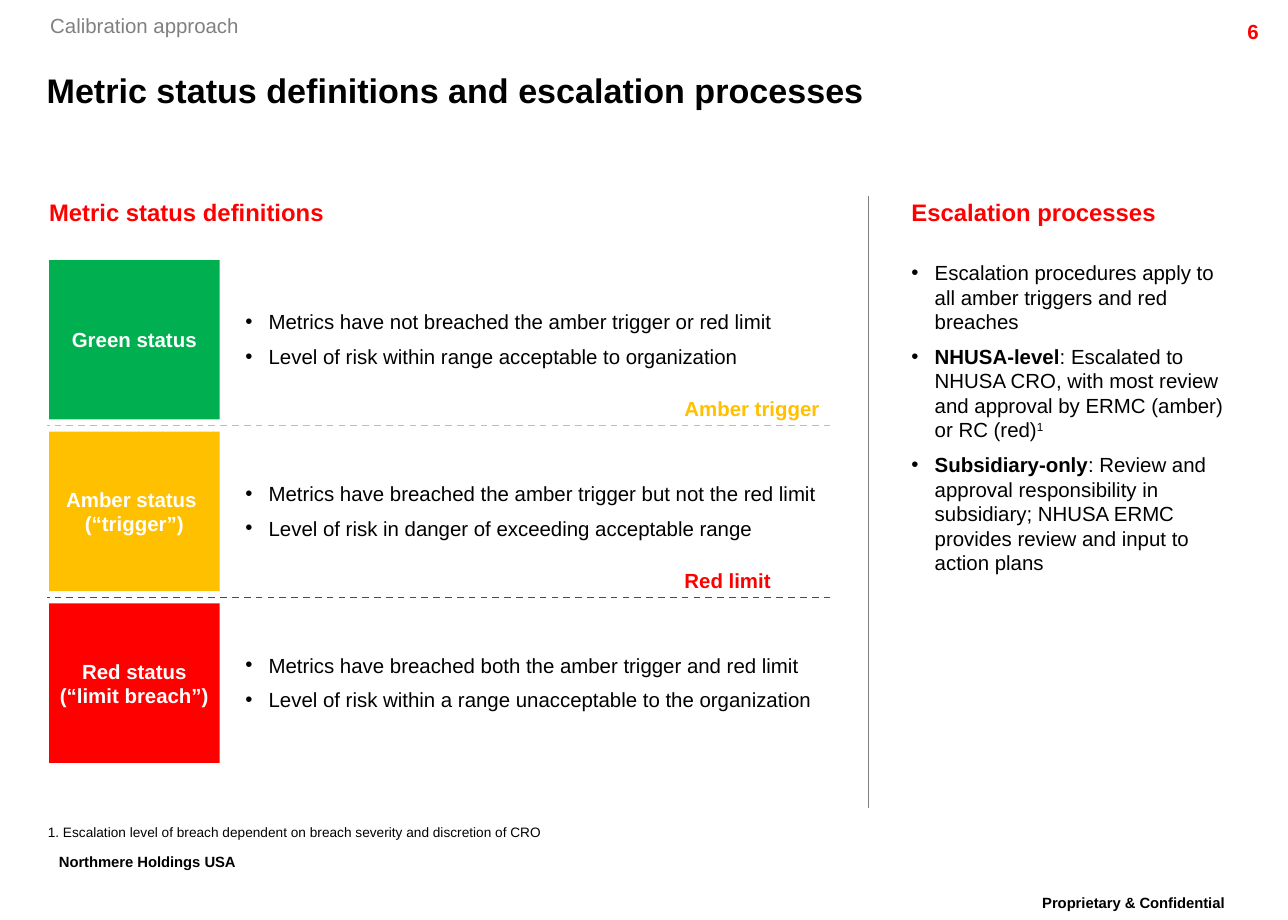
from lxml import etree
from pptx import Presentation
from pptx.dml.color import RGBColor
from pptx.enum import dml, shapes, text
from pptx.oxml import ns
from pptx.util import Inches, Pt

HUES = {"black": "000000", "white": "FFFFFF", "gray": "808080", "rule": "7F7F7F",
        "green": "00B050", "amber": "FFC000", "red": "FF0000"}

LEVELS = [
    ("green", ["Green status"],
     ["Metrics have not breached the amber trigger or red limit",
      "Level of risk within range acceptable to organization"]),
    ("amber", ["Amber status ", "(“trigger”)"],
     ["Metrics have breached the amber trigger but not the red limit",
      "Level of risk in danger of exceeding acceptable range"]),
    ("red", ["Red status", "(“limit breach”)"],
     ["Metrics have breached both the amber trigger and red limit",
      "Level of risk within a range unacceptable to the organization"]),
]
LIMITS = [("amber", "Amber trigger"), ("red", "Red limit")]
STEPS = [
    [("Escalation procedures apply to all amber triggers and red breaches", "")],
    [("NHUSA-level", "bold"),
     (": Escalated to NHUSA CRO, with most review and approval by ERMC (amber) \nor RC (red)", ""),
     ("1", "super")],
    [("Subsidiary-only", "bold"),
     (": Review and approval responsibility in subsidiary; NHUSA ERMC "
      "provides review and input to \naction plans", "")],
]
LABELS = [
    ("Calibration approach", (0.41, 0.11, 1.9, 0.2), 12, "gray", False),
    ("Metric status definitions and escalation processes",
     (0.38, 0.49, 9.48, 0.48), 20, "black", True),
    ("Metric status definitions", (0.4, 1.61, 4.5, 0.24), 14, "red", True),
    ("Escalation processes", (7.43, 1.61, 2.62, 0.24), 14, "red", True),
    ("1. Escalation level of breach dependent on breach severity and discretion of CRO",
     (0.39, 6.72, 5.9, 0.13), 8, "black", False),
]
FOOTS = [("Northmere Holdings USA ", (0.26, 6.91, 1.91, 0.35)),
         ("Proprietary & Confidential", (8.15, 7.25, 2.18, 0.35))]

LEFT, TOP, WIDE, HIGH, GAP = 0.4, 2.12, 1.39, 1.3, 0.1
MID, LEAD = text.MSO_ANCHOR.MIDDLE, text.MSO_ANCHOR.TOP
CENTER, RIGHT = text.PP_ALIGN.CENTER, text.PP_ALIGN.RIGHT

deck = Presentation()
deck.slide_width, deck.slide_height = Inches(10.5), Inches(7.5)
slide = deck.slides.add_slide(deck.slide_layouts[6])


def color(name):
    return RGBColor.from_string(HUES[name])


def write(frame, paras, size, hue, bold=False, align=None, bullet=False,
          anchor=LEAD, pad=(0, 0), wrap=True, space=None):
    frame.word_wrap = wrap
    frame.vertical_anchor = anchor
    frame.margin_left = frame.margin_right = Inches(pad[0])
    frame.margin_top = frame.margin_bottom = Inches(pad[1])
    for i, runs in enumerate(paras):
        para = frame.add_paragraph() if i else frame.paragraphs[0]
        if align:
            para.alignment = align
        if space:
            para.line_spacing = space
        if bullet:
            if i:
                para.space_before = Pt(6)
            props = para._p.get_or_add_pPr()
            props.set("marL", str(Inches(0.19)))
            props.set("indent", str(-Inches(0.19)))
            etree.SubElement(props, ns.qn("a:buFont")).set("typeface", "Arial")
            etree.SubElement(props, ns.qn("a:buChar")).set("char", "•")
        for words, look in runs:
            for j, part in enumerate(words.split("\n")):
                if j:
                    para.add_line_break()
                run = para.add_run()
                run.text = part
                font = run.font
                font.name, font.size = "Arial", Pt(size)
                font.bold = bold or look == "bold"
                font.color.rgb = color(hue)
                if look == "super":
                    run._r.get_or_add_rPr().set("baseline", "30000")


def label(spot, paras, *args, **opts):
    box = slide.shapes.add_textbox(*map(Inches, spot))
    write(box.text_frame, paras, *args, **opts)


def block(spot, hue, lines):
    box = slide.shapes.add_shape(shapes.MSO_SHAPE.RECTANGLE, *map(Inches, spot))
    box.shadow.inherit = False
    box.fill.solid()
    box.fill.fore_color.rgb = color(hue)
    box.line.fill.background()
    write(box.text_frame, [[(line, "")] for line in lines], 12, "white",
          bold=True, align=CENTER, anchor=MID)


def rule(ends, hue, width, dash=None):
    line = slide.shapes.add_connector(shapes.MSO_CONNECTOR.STRAIGHT, *map(Inches, ends))
    line.line.color.rgb = color(hue)
    line.line.width = Pt(width)
    if dash:
        line.line.dash_style = dash
    etree.SubElement(line._element.spPr, ns.qn("a:effectLst"))


for words, spot in FOOTS:
    label(spot, [[(words, "super")]], 15, "black", bold=True, align=CENTER,
          pad=(0.1, 0.05), wrap=False, space=0.86)
label((9.36, 0.11, 1, 0.24), [[("6", "")]], 12, "red", bold=True,
      align=RIGHT, pad=(0.1, 0.05))

for words, spot, size, hue, bold in LABELS:
    label(spot, [[(words, "")]], size, hue, bold=bold, anchor=MID)

for i, (hue, name, facts) in enumerate(LEVELS):
    y = TOP + i * (HIGH + GAP)
    block((LEFT, y, WIDE, HIGH), hue, name)
    label((2, y + 0.4, 4.77, 0.49), [[(fact, "")] for fact in facts],
          12, "black", bullet=True)

for i, (hue, name) in enumerate(LIMITS):
    y = TOP + (i + 1) * (HIGH + GAP) - GAP / 2
    rule((6.77, y, 0.38, y), hue, 1, dml.MSO_LINE.DASH)
    label((5.58, y - 0.24, 1.19, 0.2), [[(name, "")]], 12, hue, bold=True)

rule((7.08, 1.6, 7.08, 6.59), "rule", 0.75)
label((7.43, TOP, 2.62, 2.59), STEPS, 12, "black", bullet=True)

deck.save("out.pptx")
